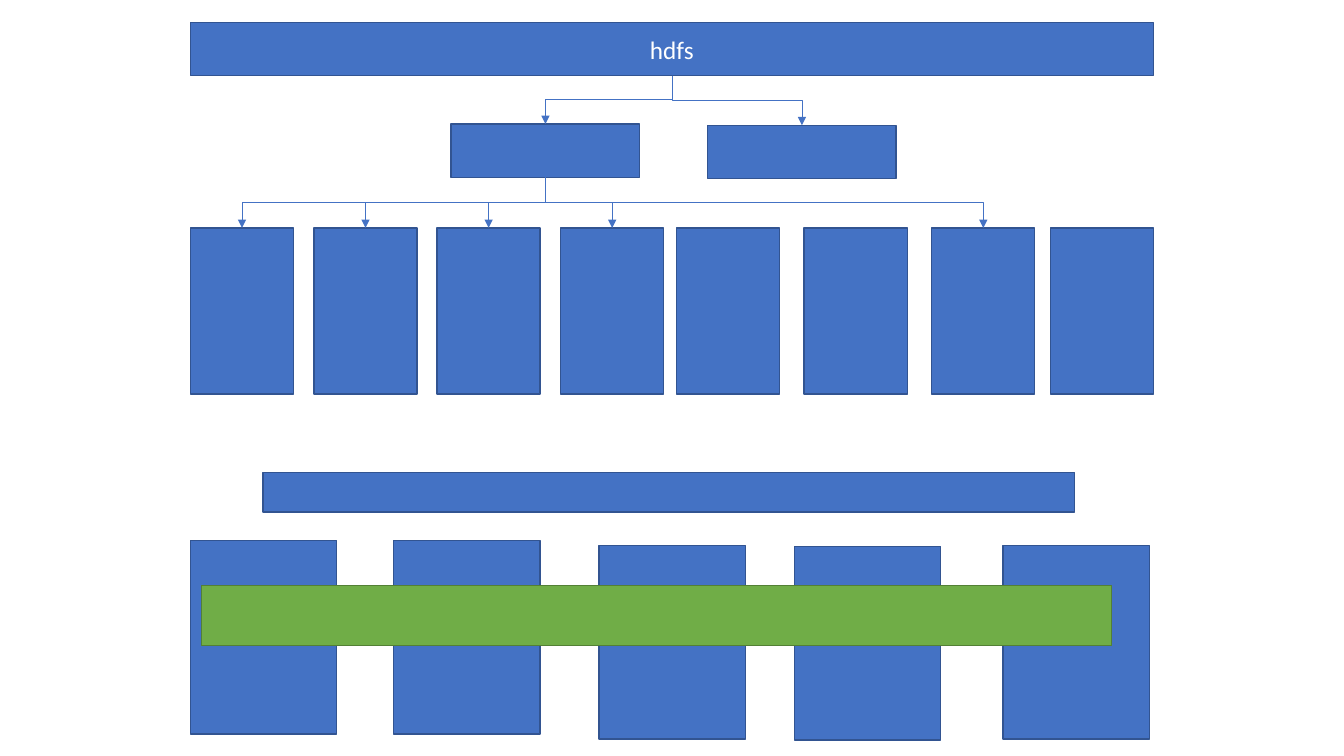
from lxml import etree
from pptx import Presentation
from pptx.dml.color import RGBColor
from pptx.enum.shapes import MSO_CONNECTOR, MSO_SHAPE
from pptx.enum.text import MSO_ANCHOR, PP_ALIGN
from pptx.oxml.ns import qn
from pptx.util import Pt

BLUE = RGBColor(0x44, 0x72, 0xC4)
DARK_BLUE = RGBColor(0x32, 0x54, 0x91)
GREEN = RGBColor(0x70, 0xAD, 0x47)
DARK_GREEN = RGBColor(0x53, 0x80, 0x35)
WHITE = RGBColor(0xFF, 0xFF, 0xFF)

NODE_LEFTS = (136, 224.2, 312.2, 400.4, 483.2, 574.4, 665.5, 750.3)
LINKED_NODES = (0, 1, 2, 3, 6)
BLOCK_CORNERS = ((136, 386), (281.2, 386), (427.8, 389.5), (567.4, 390.2), (716.4, 389.5))


def add_box(slide, left, top, width, height, fill=BLUE, outline=DARK_BLUE):
    """Add a plain outlined rectangle."""
    box = slide.shapes.add_shape(
        MSO_SHAPE.RECTANGLE, Pt(left), Pt(top), Pt(width), Pt(height))
    box.shadow.inherit = False
    box.fill.solid()
    box.fill.fore_color.rgb = fill
    box.line.color.rgb = outline
    box.line.width = Pt(1)
    return box


def add_label(box, text):
    """Write a centred white label in a box."""
    frame = box.text_frame
    frame.vertical_anchor = MSO_ANCHOR.MIDDLE
    paragraph = frame.paragraphs[0]
    paragraph.alignment = PP_ALIGN.CENTER
    run = paragraph.add_run()
    run.text = text
    run.font.name = "Calibri"
    run.font.size = Pt(18)
    run.font.color.rgb = WHITE


def add_branch(slide, parent, child):
    """Join a parent's bottom to a child's top with an elbow arrow."""
    start_x = parent.left + parent.width // 2
    start_y = parent.top + parent.height
    end_x = child.left + child.width // 2
    drop, run = child.top - start_y, abs(end_x - start_x)

    branch = slide.shapes.add_connector(
        MSO_CONNECTOR.ELBOW, start_x, start_y, end_x, child.top)
    branch.begin_connect(parent, 2)
    branch.end_connect(child, 0)
    branch.left = (start_x + end_x - drop) // 2
    branch.top = (start_y + child.top - run) // 2
    branch.width, branch.height = drop, run

    rightward = end_x > start_x
    properties = branch._element.spPr
    transform = properties.find(qn("a:xfrm"))
    transform.set("rot", str((270 if rightward else 90) * 60000))
    transform.set("flipH", "1" if rightward else "0")

    branch.line.color.rgb = BLUE
    branch.line.width = Pt(0.5)
    etree.SubElement(properties.find(qn("a:ln")), qn("a:tailEnd"), type="triangle")
    etree.SubElement(properties, qn("a:effectLst"))


def main():
    """Build the hdfs tree above the row of blocks."""
    deck = Presentation()
    deck.slide_width, deck.slide_height = Pt(960), Pt(540)
    slide = deck.slides.add_slide(deck.slide_layouts[6])

    root = add_box(slide, 136, 16, 687.8, 38)
    add_label(root, "hdfs")
    nodes = [add_box(slide, left, 162.8, 73.7, 118.8) for left in NODE_LEFTS]
    left_parent = add_box(slide, 322.3, 88.6, 134.6, 38)
    right_parent = add_box(slide, 505.5, 89.5, 134.6, 38)

    for parent in (left_parent, right_parent):
        add_branch(slide, root, parent)
    for index in LINKED_NODES:
        add_branch(slide, left_parent, nodes[index])

    for left, top in BLOCK_CORNERS:
        add_box(slide, left, top, 104.6, 138.4)
    add_box(slide, 187.8, 337.5, 579.8, 28.4)
    add_box(slide, 144, 418.3, 650, 43, GREEN, DARK_GREEN)

    deck.save("out.pptx")


main()
